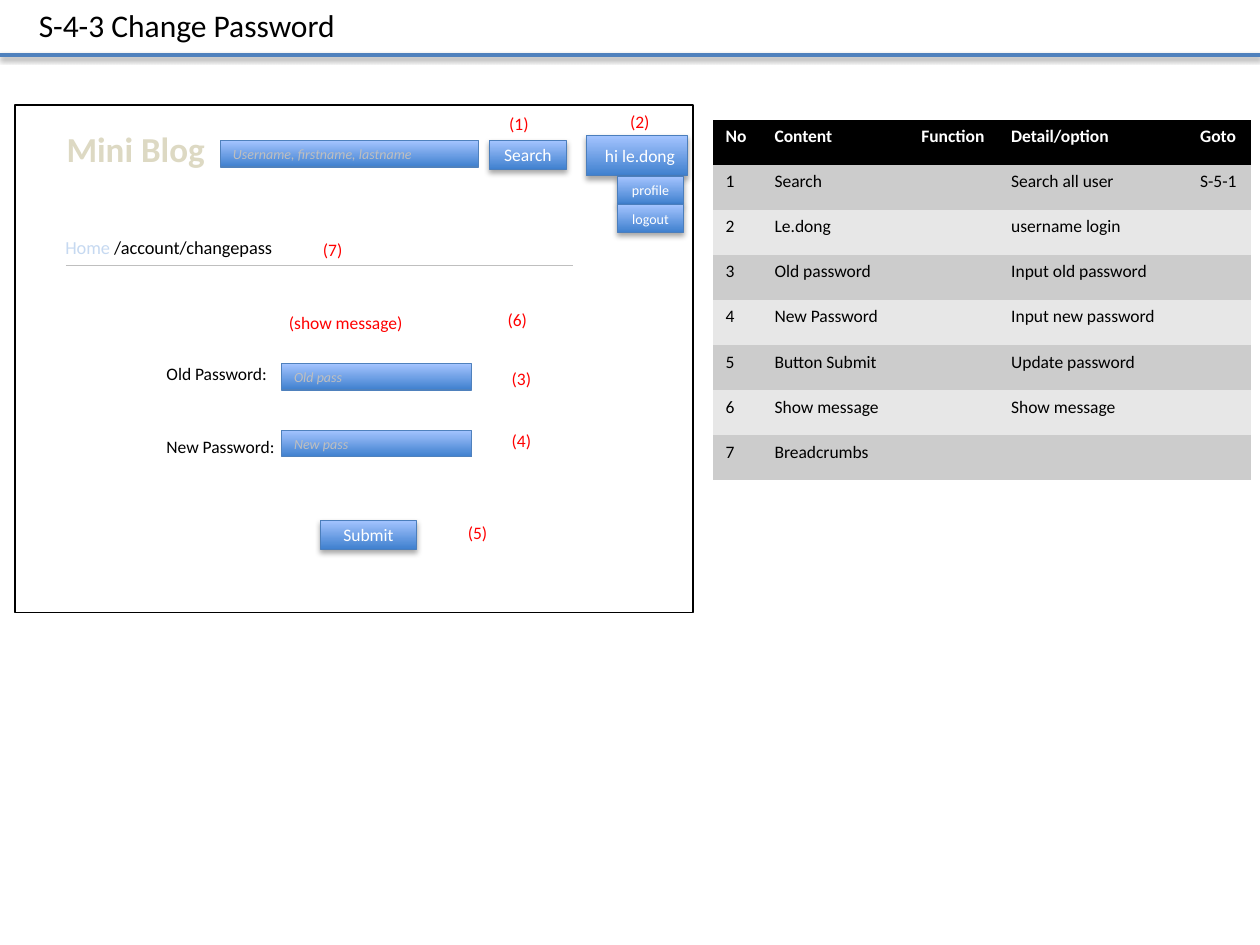
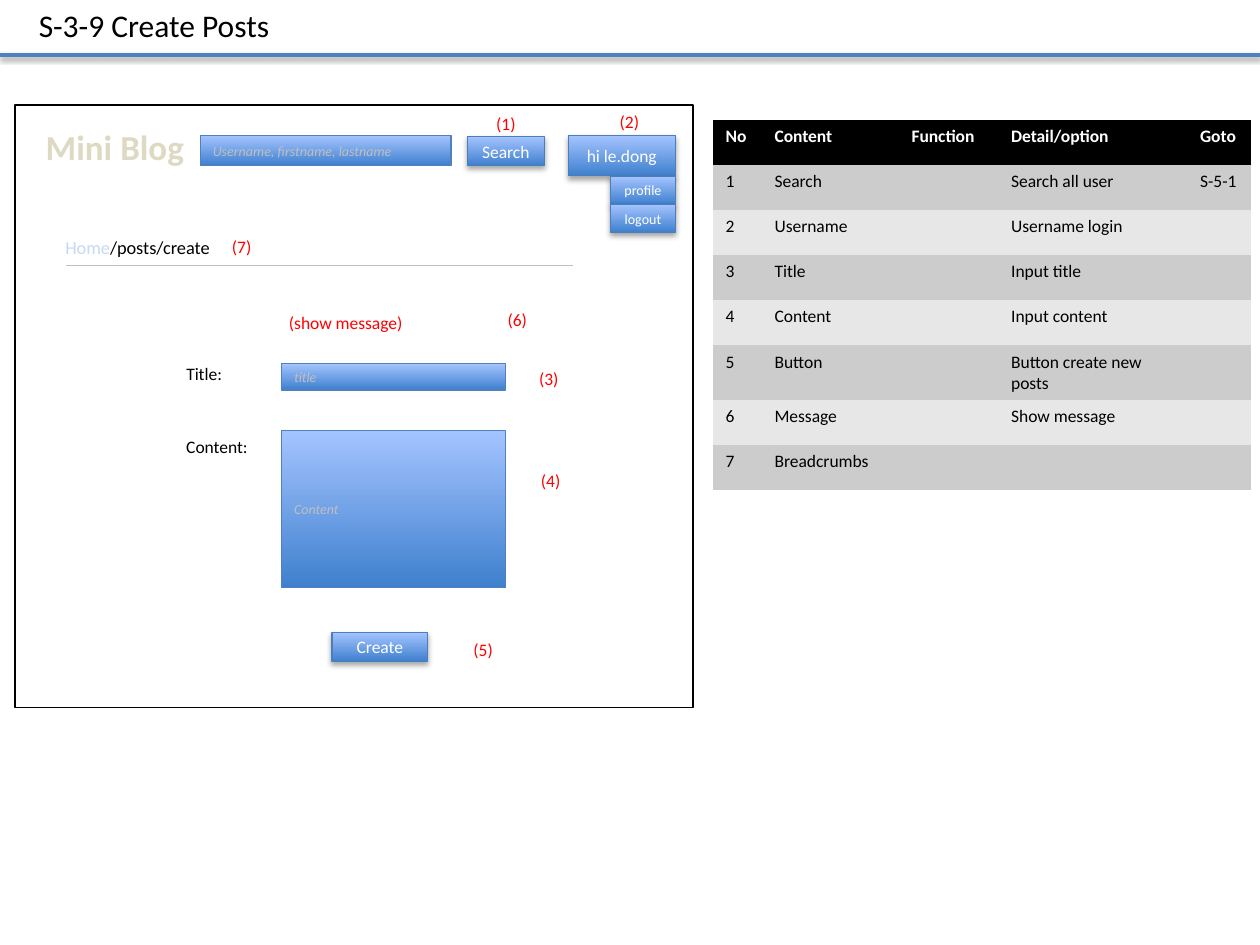
from lxml.etree import SubElement
from pptx import Presentation
from pptx.dml.color import RGBColor
from pptx.enum.shapes import MSO_CONNECTOR, MSO_SHAPE
from pptx.enum.text import MSO_ANCHOR as ANCHOR, MSO_AUTO_SIZE as AUTO_SIZE, PP_ALIGN as ALIGN
from pptx.oxml.ns import qn
from pptx.util import Inches, Pt

WIDTH, HEIGHT = Inches(10), Inches(7.5)
COLUMN, ROW = WIDTH // 100, HEIGHT // 75
FONT = "Calibri"
NO_STYLE = "{2D5ABB26-0587-4C30-8999-92F81FD0307C}"

BLACK = RGBColor(0x00, 0x00, 0x00)
WHITE = RGBColor(0xFF, 0xFF, 0xFF)
RED = RGBColor(0xFF, 0x00, 0x00)
BAND_BLUE = RGBColor(0x4F, 0x81, 0xBD)
BUTTON_EDGE = RGBColor(0x4B, 0x7E, 0xBC)
DEEP_BLUE = RGBColor(0x3F, 0x80, 0xCE)
PALE_BLUE = RGBColor(0xA4, 0xC4, 0xFF)
LINK_BLUE = RGBColor(0xC6, 0xD9, 0xF1)
HINT_GREY = RGBColor(0xBF, 0xBF, 0xBF)
HEADING_CREAM = RGBColor(0xDD, 0xD9, 0xC3)
ROW_SHADES = RGBColor(0xE7, 0xE7, 0xE7), RGBColor(0xCC, 0xCC, 0xCC)

HEADINGS = ("No", "Content", "Function", "Detail/option", "Goto")


def place(left, top, width, height):
    return (round(left * COLUMN), round(top * ROW),
            round(width * COLUMN), round(height * ROW))


def style(span, size, color, bold=False, italic=False):
    font = span.font
    font.name, font.size = FONT, Pt(size)
    font.bold, font.italic = bold, italic
    font.color.rgb = color


def set_effects(shape, distance=None, opacity=35):
    effects = SubElement(shape._element.spPr, qn("a:effectLst"))
    if distance:
        shadow = SubElement(effects, qn("a:outerShdw"), blurRad="40000", dist=str(Pt(distance)),
                            dir="5400000", rotWithShape="0")
        color = SubElement(shadow, qn("a:srgbClr"), val=str(BLACK))
        SubElement(color, qn("a:alpha"), val=str(opacity * 1000))


def add_rule(page, left, top, length, color, weight, **shadow):
    x, y, width, _ = place(left, top, length, 0)
    rule = page.shapes.add_connector(MSO_CONNECTOR.STRAIGHT, x, y, x + width, y)
    rule.line.color.rgb = color
    rule.line.width = Pt(weight)
    set_effects(rule, **shadow)


def add_label(page, text, left, top, width, height=2.7, size=10, color=BLACK, bold=False):
    box = page.shapes.add_textbox(*place(left, top, width, height))
    frame = box.text_frame
    frame.word_wrap = False
    frame.auto_size = AUTO_SIZE.SHAPE_TO_FIT_TEXT
    frame.text = text
    para = frame.paragraphs[0]
    style(para.runs[0], size, color, bold)
    return para


def add_marker(page, number, left, top):
    add_label(page, f"({number})", left, top, 3.6, color=RED)


def add_panel(page, area, edge):
    panel = page.shapes.add_shape(MSO_SHAPE.RECTANGLE, *place(*area))
    panel.line.color.rgb = edge
    panel.line.width = Pt(0.75)
    return panel


def add_frame(page, height):
    frame = add_panel(page, (1.2, 8.34, 53.8, height), BLACK)
    frame.fill.solid()
    frame.fill.fore_color.rgb = WHITE
    set_effects(frame)


def add_control(page, text, area, edge, align):
    control = add_panel(page, area, edge)
    control.fill.gradient()
    control.fill.gradient_angle = 90
    for stop, color, position in zip(control.fill.gradient_stops, (DEEP_BLUE, PALE_BLUE), (0, 1)):
        stop.color.rgb = color
        stop.position = position
    frame = control.text_frame
    frame.vertical_anchor = ANCHOR.MIDDLE
    frame.text = text
    frame.paragraphs[0].alignment = align
    return control, frame.paragraphs[0].runs[0]


def add_field(page, hint, *area):
    field, span = add_control(page, hint, area, BAND_BLUE, ALIGN.LEFT)
    style(span, 8, HINT_GREY, italic=True)
    set_effects(field)


def add_button(page, text, *area, size=10, align=ALIGN.CENTER):
    button, span = add_control(page, text, area, BUTTON_EDGE, align)
    style(span, size, WHITE)
    set_effects(button, distance=1.8)


def add_user_menu(page, left):
    for index, entry in enumerate(("profile", "logout")):
        add_button(page, entry, left, 14 + index * 2.23, 5.2, 2.23, size=8)


def add_header(page, title, width):
    add_rule(page, 0, 4.36, 100, BAND_BLUE, 2, distance=1.6, opacity=38)
    add_label(page, title, 2.1, 0, width, 4, size=18)


def add_breadcrumb(page, home, trail, width):
    add_rule(page, 5.24, 21.05, 40.2, HINT_GREY, 0.25)
    para = add_label(page, home, 4.2, 18.25, width, 2.8, size=10.5, color=LINK_BLUE)
    span = para.add_run()
    span.text = trail
    style(span, 10.5, BLACK)


def add_message(page):
    add_label(page, "(show message)", 21.95, 24.25, 11.2, color=RED)
    add_marker(page, 6, 39.3, 24.05)


def add_item_table(page, widths, items):
    records = [HEADINGS] + [
        (str(number), content, "", detail, goto)
        for number, (content, detail, goto) in enumerate(items, 1)]
    holder = page.shapes.add_table(len(records), len(HEADINGS),
                                   *place(56.6, 9.5, sum(widths), 3.58 * len(records)))
    table = holder.table
    table._tbl.tblPr.find(qn("a:tableStyleId")).text = NO_STYLE
    for column, width in zip(table.columns, widths):
        column.width = round(width * COLUMN)
    for row, record in enumerate(records):
        for column, text in enumerate(record):
            cell = table.cell(row, column)
            cell.fill.solid()
            cell.fill.fore_color.rgb = ROW_SHADES[row % 2] if row else BLACK
            cell.text = text
            para = cell.text_frame.paragraphs[0]
            para.font.size = Pt(10)
            for span in para.runs:
                style(span, 10, BLACK if row else WHITE, bold=row == 0)


def add_site_name(page, left, top):
    add_label(page, "Mini Blog", left, top, 13, 4.4, size=20, color=HEADING_CREAM, bold=True)


def build_change_password(page):
    add_header(page, "S-4-3 Change Password", 25.9)
    add_frame(page, 40.3)
    add_site_name(page, 4.3, 9.6)
    add_field(page, "Username, firstname, lastname", 17.5, 11.15, 20.5, 2.1)
    add_button(page, "Search", 38.85, 11.15, 6.1, 2.3)
    add_button(page, "hi le.dong", 46.55, 10.75, 8, 3.2, align=ALIGN.RIGHT)
    add_user_menu(page, 49.03)
    add_breadcrumb(page, "Home ", "/account/changepass", 18.8)
    add_message(page)
    add_field(page, "Old pass", 22.35, 28.85, 15.1, 2.1)
    add_field(page, "New pass", 22.35, 34.15, 15.1, 2.1)
    add_button(page, "Submit", 25.45, 41.3, 7.6, 2.3)
    add_label(page, "Old Password:", 12.23, 28.3, 10.2)
    add_label(page, "New Password:", 12.23, 34.1, 10.8)
    for number, left, top in ((1, 39.43, 8.5), (2, 49.03, 8.3), (3, 39.63, 28.7),
                              (4, 39.63, 33.65), (5, 36.15, 40.9), (7, 24.65, 18.45)):
        add_marker(page, number, left, top)
    add_item_table(page, (3.88, 11.65, 7.13, 15, 5), (
        ("Search", "Search all user", "S-5-1"),
        ("Le.dong", "username login", ""),
        ("Old password", "Input old password", ""),
        ("New Password", "Input new password", ""),
        ("Button Submit", "Update password", ""),
        ("Show message", "Show message", ""),
        ("Breadcrumbs", "", "")))


def build_create_posts(page):
    add_header(page, "S-3-9 Create Posts", 20.7)
    add_frame(page, 47.8)
    add_site_name(page, 2.65, 9.45)
    add_field(page, "Username, firstname, lastname", 15.9, 10.75, 19.9, 2.4)
    add_button(page, "Search", 37.1, 10.85, 6.1, 2.3)
    add_button(page, "hi le.dong", 45.1, 10.75, 8.5, 3.2)
    add_user_menu(page, 48.43)
    add_breadcrumb(page, "Home", "/posts/create", 13.8)
    add_message(page)
    add_field(page, "title", 22.35, 28.85, 17.8, 2.1)
    add_field(page, "Content", 22.35, 34.15, 17.8, 12.5)
    add_button(page, "Create", 26.35, 50.2, 7.6, 2.3)
    add_label(page, "Title:", 13.8, 28.3, 4.9)
    add_label(page, "Content:", 13.8, 34.1, 7)
    for number, left, top in ((1, 38.4, 8.5), (2, 48.2, 8.3), (3, 41.8, 28.7),
                              (4, 41.95, 36.8), (5, 36.6, 50.2), (7, 17.43, 18.25)):
        add_marker(page, number, left, top)
    add_item_table(page, (3.88, 10.87, 7.91, 15, 5), (
        ("Search", "Search all user", "S-5-1"),
        ("Username", "Username login", ""),
        ("Title", "Input title", ""),
        ("Content", "Input content", ""),
        ("Button", "Button create new posts", ""),
        ("Message", "Show message", ""),
        ("Breadcrumbs", "", "")))


def main():
    deck = Presentation()
    deck.slide_width, deck.slide_height = WIDTH, HEIGHT
    for build in (build_change_password, build_create_posts):
        build(deck.slides.add_slide(deck.slide_layouts[6]))
    deck.save("out.pptx")


main()
